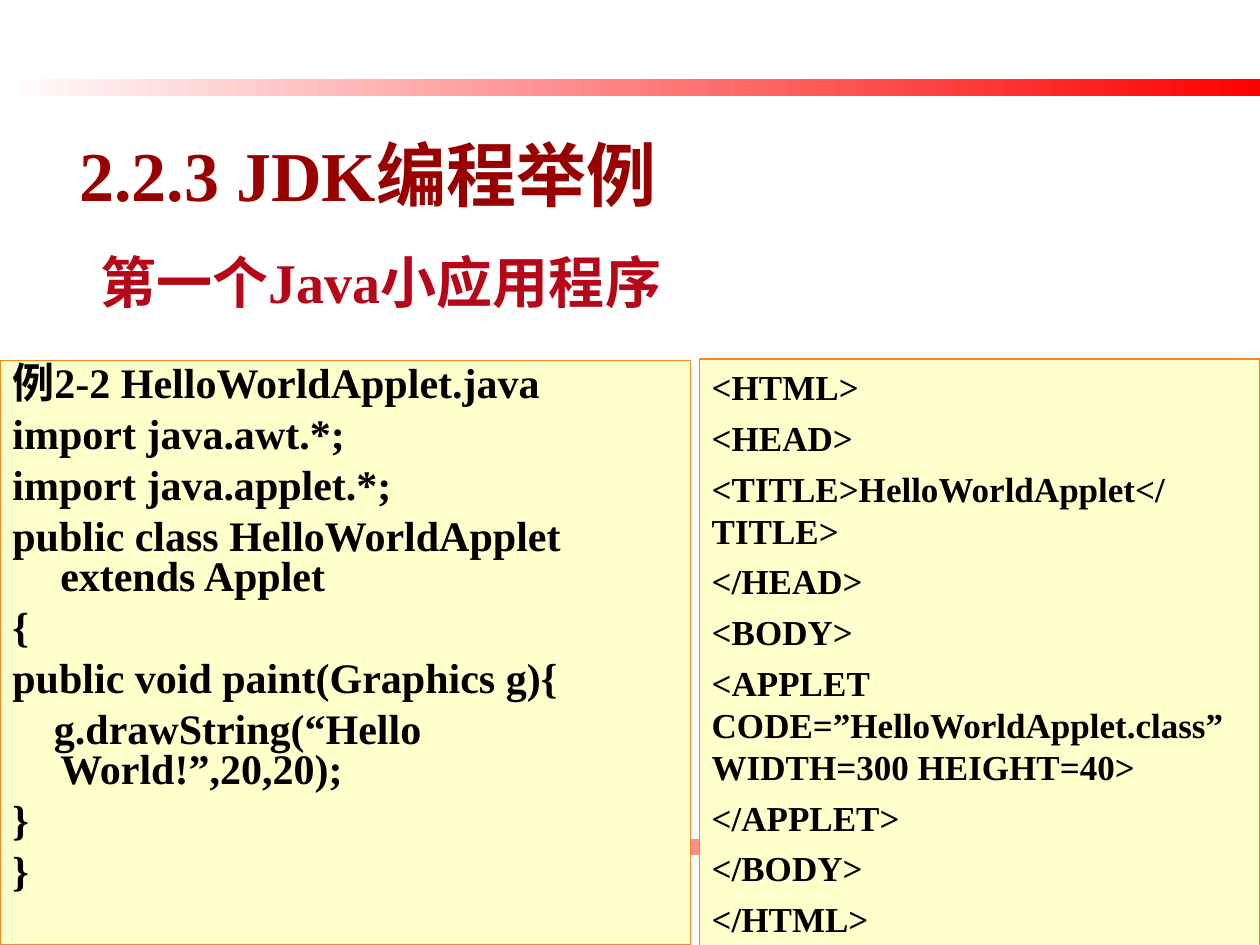
from pptx import Presentation
from pptx.dml.color import RGBColor
from pptx.enum.shapes import MSO_SHAPE
from pptx.enum.text import MSO_ANCHOR, PP_ALIGN
from pptx.util import Inches, Pt

FONT = "Times New Roman"
JAVA_LINES = [
    "例2-2 HelloWorldApplet.java",
    "import java.awt.*;",
    "import java.applet.*;",
    "public class HelloWorldApplet extends Applet",
    "{",
    "public void paint(Graphics g){",
    "g.drawString(“Hello World!”,20,20);",
    "}",
    "}",
]
HTML_LINES = [
    "<HTML>",
    "<HEAD>",
    "<TITLE>HelloWorldApplet</TITLE>",
    "</HEAD>",
    "<BODY>",
    "<APPLET CODE=”HelloWorldApplet.class” WIDTH=300 HEIGHT=40>",
    "</APPLET>",
    "</BODY>",
    "</HTML>",
]


def color(value):
    return RGBColor.from_string(value)


def add_rectangle(slide, left, top, width, height):
    shape = slide.shapes.add_shape(
        MSO_SHAPE.RECTANGLE, Inches(left), Inches(top), Inches(width), Inches(height)
    )
    shape.shadow.inherit = False
    return shape


def add_gradient_bar(slide, top, start, end):
    bar = add_rectangle(slide, 0, top, 10, 0.13)
    bar.line.fill.background()
    bar.fill.gradient()
    bar.fill.gradient_angle = 0
    for stop, value in zip(bar.fill.gradient_stops, (start, end)):
        stop.color.rgb = color(value)


def write_lines(text_frame, lines, size, text_color, space_before=0):
    text_frame.text = "\n".join(lines)
    for paragraph in text_frame.paragraphs:
        paragraph.alignment = PP_ALIGN.LEFT
        paragraph.space_before = Pt(space_before)
        for run in paragraph.runs:
            run.font.name = FONT
            run.font.size = Pt(size)
            run.font.bold = True
            run.font.color.rgb = color(text_color)


def add_heading(slide, text, left, top, width, height, size, text_color):
    box = slide.shapes.add_textbox(
        Inches(left), Inches(top), Inches(width), Inches(height)
    )
    text_frame = box.text_frame
    text_frame.word_wrap = True
    text_frame.vertical_anchor = MSO_ANCHOR.MIDDLE
    write_lines(text_frame, [text], size, text_color)


def add_code_panel(slide, lines, left, top, width, height, size, space_before, anchor):
    panel = add_rectangle(slide, left, top, width, height)
    panel.fill.solid()
    panel.fill.fore_color.rgb = color("FFFFCC")
    panel.line.color.rgb = color("FB881F")
    panel.line.width = Pt(0.75)
    text_frame = panel.text_frame
    text_frame.word_wrap = True
    text_frame.vertical_anchor = anchor
    write_lines(text_frame, lines, size, "000000", space_before)
    return text_frame.paragraphs


def set_hanging_indent(paragraph, margin, first_line):
    properties = paragraph._p.get_or_add_pPr()
    properties.set("marL", str(Inches(margin)))
    properties.set("indent", str(Inches(first_line)))


def main():
    presentation = Presentation()
    presentation.slide_width = Inches(10)
    presentation.slide_height = Inches(7.5)
    slide = presentation.slides.add_slide(presentation.slide_layouts[6])

    add_gradient_bar(slide, 0.63, "FFFFFF", "FF0000")
    add_gradient_bar(slide, 6.66, "FF0000", "FFFFFF")
    add_heading(slide, "第一个Java小应用程序", 0.7, 1.82, 8.5, 0.82, 32, "B60819")

    java_paragraphs = add_code_panel(
        slide, JAVA_LINES, 0, 2.86, 5.48, 4.64, 24, 6, MSO_ANCHOR.TOP
    )
    for paragraph in java_paragraphs:
        paragraph.line_spacing = 0.8
        nested = paragraph.text.startswith("g.")
        set_hanging_indent(paragraph, 0.38, -0.05 if nested else -0.38)

    add_code_panel(
        slide, HTML_LINES, 5.55, 2.85, 4.45, 4.66, 20, 5, MSO_ANCHOR.MIDDLE
    )
    add_heading(slide, "2.2.3 JDK编程举例", 0.53, 0.99, 4.91, 0.77, 40, "990000")

    presentation.save("out.pptx")


if __name__ == "__main__":
    main()
